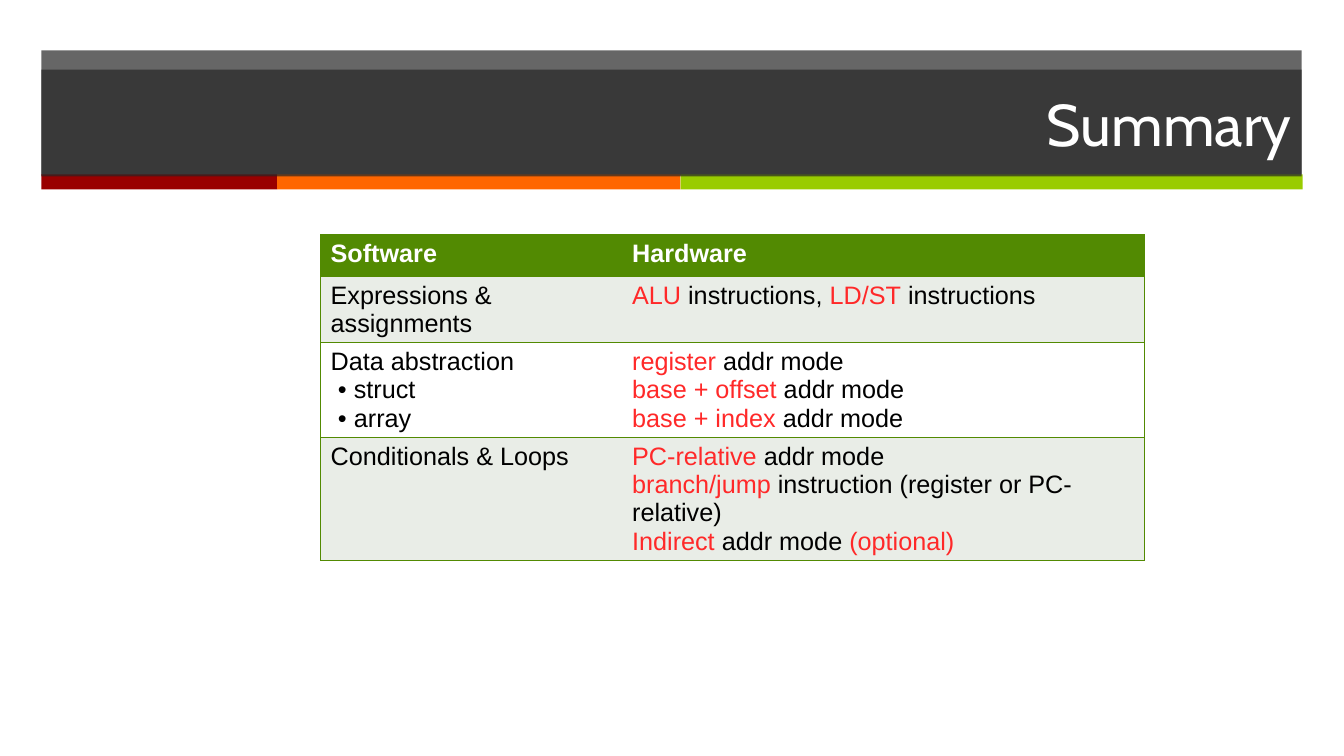
from lxml.etree import SubElement
from pptx import Presentation
from pptx.dml.color import RGBColor
from pptx.enum.shapes import MSO_SHAPE
from pptx.enum.text import MSO_ANCHOR, MSO_AUTO_SIZE, PP_ALIGN
from pptx.oxml.ns import qn
from pptx.util import Inches, Pt

COLORS = {
    "dark": "262626", "maroon": "990000", "orange": "FF6600", "lime": "99CC00",
    "green": "528A02", "tint": "E9EDE7", "white": "FFFFFF", "black": "000000",
    "red": "FF2929",
}
TITLE = "Summary"
BULLET = "• "
MARK = "*"
ROWS = [
    (0.41, ["Software"], ["Hardware"]),
    (0.65, ["Expressions & assignments"],
     ["*ALU* instructions, *LD/ST* instructions"]),
    (0.94, ["Data abstraction", "• struct", "• array"],
     ["*register *addr mode", "*base + offset *addr mode", "*base + index *addr mode"]),
    (1.22, ["Conditionals & Loops"],
     ["*PC-relative *addr mode",
      "*branch/jump *instruction (register or PC-relative)",
      "*Indirect *addr mode *(optional)"]),
]
COLUMN_WIDTHS = (2.99, 5.18)
TABLE_LEFT, TABLE_TOP = 3.18, 2.33
BAND_LEFT, BAND_WIDTH = 0.41, 12.5
STRIPE_TOP, STRIPE_HEIGHT = 1.73, 0.15
STRIPES = [("maroon", 2.34), ("orange", 4), ("lime", 6.17)]


def rgb(name):
    return RGBColor.from_string(COLORS[name])


def paint(shape, color, opacity=100):
    shape.fill.solid()
    shape.fill.fore_color.rgb = rgb(color)
    if opacity < 100:
        srgb = shape._element.spPr.find(qn("a:solidFill"))[0]
        SubElement(srgb, qn("a:alpha"), val=str(opacity * 1000))


def add_band(slide, left, top, width, height, color, opacity=100):
    band = slide.shapes.add_shape(
        MSO_SHAPE.RECTANGLE, *map(Inches, (left, top, width, height)))
    band.shadow.inherit = False
    band.line.fill.background()
    paint(band, color, opacity)


def add_title(slide):
    title = slide.shapes.title
    place = {"left": BAND_LEFT, "top": 0.69, "width": BAND_WIDTH, "height": 1.06}
    for side, inches in place.items():
        setattr(title, side, Inches(inches))
    paint(title, "dark", 70)
    frame = title.text_frame
    frame.text = TITLE
    frame.auto_size = MSO_AUTO_SIZE.NONE
    frame.vertical_anchor = MSO_ANCHOR.MIDDLE
    heading = frame.paragraphs[0]
    heading.alignment = PP_ALIGN.RIGHT
    font = heading.runs[0].font
    for name, value in {"name": "Cabin", "size": Pt(42)}.items():
        setattr(font, name, value)
    font.color.rgb = rgb("white")
    slide.shapes._spTree.append(title._element)


def write_cell(cell, lines, is_header):
    frame = cell.text_frame
    for index, line in enumerate(lines):
        paragraph = frame.add_paragraph() if index else frame.paragraphs[0]
        if line.startswith(BULLET):
            props = paragraph._p.get_or_add_pPr()
            props.set("marL", str(Inches(0.23)))
            props.set("indent", str(Inches(-0.16)))
            SubElement(props, qn("a:buFont"), typeface="Arial")
            SubElement(props, qn("a:buChar"), char=BULLET.strip())
            line = line.removeprefix(BULLET)
        for part, words in enumerate(line.split(MARK)):
            if not words:
                continue
            run = paragraph.add_run()
            run.text = words
            for name, value in {"name": "Arial", "size": Pt(18), "bold": is_header}.items():
                setattr(run.font, name, value)
            run.font.color.rgb = rgb("white" if is_header else "red" if part % 2 else "black")


def border_cell(cell, inner_side):
    props = cell._tc.get_or_add_tcPr()
    for side in ("lnL", "lnR", "lnT", "lnB"):
        edge = SubElement(props, qn(f"a:{side}"), w=str(Pt(1)))
        if side == inner_side:
            SubElement(edge, qn("a:noFill"))
        else:
            ink = SubElement(edge, qn("a:solidFill"))
            SubElement(ink, qn("a:srgbClr"), val=COLORS["green"])


def add_summary_table(slide):
    height = sum(row[0] for row in ROWS)
    table = slide.shapes.add_table(
        len(ROWS), len(COLUMN_WIDTHS), Inches(TABLE_LEFT), Inches(TABLE_TOP),
        Inches(sum(COLUMN_WIDTHS)), Inches(height)).table
    for column, width in zip(table.columns, COLUMN_WIDTHS):
        column.width = Inches(width)
    for r, (row_height, *entries) in enumerate(ROWS):
        table.rows[r].height = Inches(row_height)
        for c, lines in enumerate(entries):
            cell = table.cell(r, c)
            write_cell(cell, lines, r == 0)
            border_cell(cell, ("lnR", "lnL")[c])
            cell.fill.solid()
            cell.fill.fore_color.rgb = rgb(
                "green" if r == 0 else "tint" if r % 2 else "white")


def main():
    deck = Presentation()
    deck.slide_width, deck.slide_height = Inches(13.33), Inches(7.5)
    slide = deck.slides.add_slide(deck.slide_layouts[5])
    add_band(slide, BAND_LEFT, 0.5, BAND_WIDTH, 1.24, "dark", 70)
    left = BAND_LEFT
    for color, width in STRIPES:
        add_band(slide, left, STRIPE_TOP, width, STRIPE_HEIGHT, color)
        left += width
    add_title(slide)
    add_summary_table(slide)
    deck.save("out.pptx")


if __name__ == "__main__":
    main()
